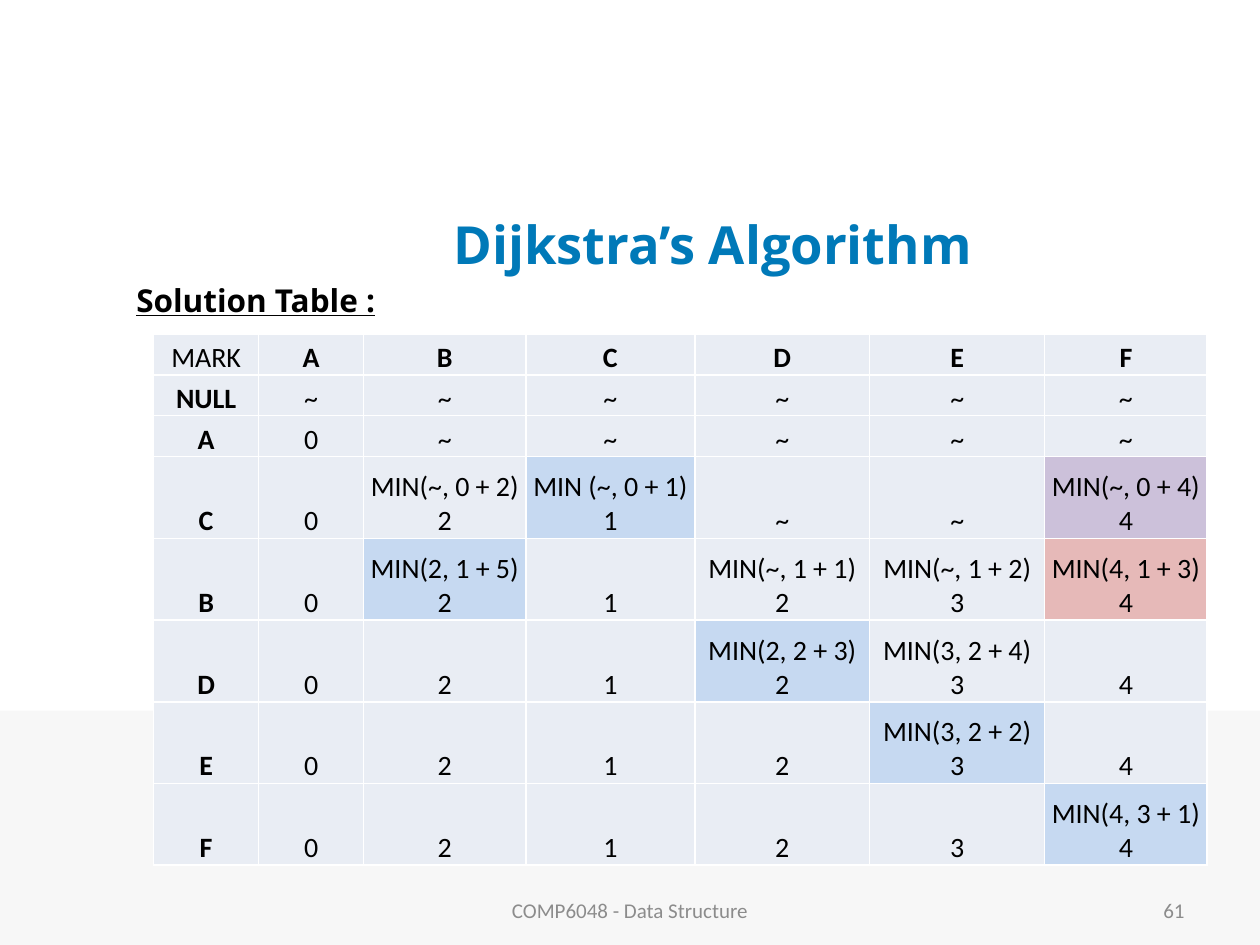
import pptx
import pptx.dml.color
import pptx.enum.shapes
import pptx.enum.text
import pptx.oxml.ns
import pptx.util
from lxml import etree

Pt = pptx.util.Pt
RGBColor = pptx.dml.color.RGBColor
ALIGN = pptx.enum.text.PP_ALIGN
ANCHOR = pptx.enum.text.MSO_ANCHOR
qn = pptx.oxml.ns.qn

BLACK = RGBColor(0x00, 0x00, 0x00)
WHITE = RGBColor(0xFF, 0xFF, 0xFF)
TITLE_BLUE = RGBColor(0x00, 0x79, 0xB8)
FOOTER_GREY = RGBColor(0x8C, 0x8C, 0x8C)
BAND_GREY = RGBColor(0xF7, 0xF7, 0xF7)
CELL_GREY = RGBColor(0xE9, 0xED, 0xF4)
CHOSEN_BLUE = RGBColor(0xC6, 0xD9, 0xF1)
PURPLE = RGBColor(0xCC, 0xC1, 0xDA)
RED = RGBColor(0xE6, 0xB9, 0xB8)

COLUMN_WIDTHS = [60, 60, 92.8, 96.5, 100, 100, 92.8]
ROW_HEIGHTS = [23.4] * 3 + [46.7] * 5
SOLUTION = [
    ["MARK", "A", "B", "C", "D", "E", "F"],
    ["NULL"] + ["~"] * 6,
    ["A", "0"] + ["~"] * 5,
    ["C", "0", "MIN(~, 0 + 2)\n2", "MIN (~, 0 + 1)\n1", "~", "~", "MIN(~, 0 + 4)\n4"],
    ["B", "0", "MIN(2, 1 + 5)\n2", "1", "MIN(~, 1 + 1)\n2", "MIN(~, 1 + 2)\n3", "MIN(4, 1 + 3)\n4"],
    ["D", "0", "2", "1", "MIN(2, 2 + 3)\n2", "MIN(3, 2 + 4)\n3", "4"],
    ["E", "0", "2", "1", "2", "MIN(3, 2 + 2)\n3", "4"],
    ["F", "0", "2", "1", "2", "3", "MIN(4, 3 + 1)\n4"],
]
# Fills by (row, column); every other cell is grey
HIGHLIGHTS = {
    (3, 3): CHOSEN_BLUE, (4, 2): CHOSEN_BLUE, (5, 4): CHOSEN_BLUE,
    (6, 5): CHOSEN_BLUE, (7, 6): CHOSEN_BLUE,
    (3, 6): PURPLE, (4, 6): RED,
}


def write_text(frame, text, font="Calibri", size=16, color=BLACK, bold=False,
               underline=False, align=ALIGN.CENTER):
    paragraph = frame.paragraphs[0]
    paragraph.text = text
    paragraph.alignment = align
    for run in paragraph.runs:
        run.font.name = font
        run.font.size = Pt(size)
        run.font.bold = bold
        run.font.underline = underline
        run.font.color.rgb = color
    # Line breaks take the size of the text around them
    for line_break in paragraph._p.findall(qn("a:br")):
        etree.SubElement(line_break, qn("a:rPr")).set("sz", str(size * 100))


def set_borders(cell, color, width):
    properties = cell._tc.get_or_add_tcPr()
    for index, side in enumerate(("a:lnL", "a:lnR", "a:lnT", "a:lnB")):
        line = etree.Element(qn(side), w=str(Pt(width)))
        fill = etree.SubElement(line, qn("a:solidFill"))
        etree.SubElement(fill, qn("a:srgbClr"), val=str(color))
        properties.insert(index, line)


class SlideBuilder:
    def __init__(self, presentation):
        self.slide = presentation.slides.add_slide(presentation.slide_layouts[6])
        self.heading_font = "Open Sans"

    def rectangle(self, left, top, width, height, color):
        shape = self.slide.shapes.add_shape(
            pptx.enum.shapes.MSO_SHAPE.RECTANGLE, Pt(left), Pt(top), Pt(width), Pt(height))
        shape.shadow.inherit = False
        shape.fill.solid()
        shape.fill.fore_color.rgb = color
        shape.line.fill.background()

    def text(self, left, top, width, height, text, anchor=ANCHOR.MIDDLE, **text_format):
        box = self.slide.shapes.add_textbox(Pt(left), Pt(top), Pt(width), Pt(height))
        box.text_frame.word_wrap = True
        box.text_frame.vertical_anchor = anchor
        write_text(box.text_frame, text, **text_format)

    def heading(self, left, top, width, height, text, **text_format):
        self.text(left, top, width, height, text, font=self.heading_font,
                  bold=True, **text_format)

    def footer(self, left, width, text, align):
        self.text(left, 505.5, width, 28.8, text, size=12, color=FOOTER_GREY, align=align)

    def table(self, left, top, values, widths, heights, highlights):
        table = self.slide.shapes.add_table(
            len(heights), len(widths), Pt(left), Pt(top),
            Pt(sum(widths)), Pt(sum(heights))).table
        table.first_row = False
        table.horz_banding = False
        for column, width in zip(table.columns, widths):
            column.width = Pt(width)
        for row, height in zip(table.rows, heights):
            row.height = Pt(height)
        for row, row_values in enumerate(values):
            for column, value in enumerate(row_values):
                cell = table.cell(row, column)
                cell.margin_left = cell.margin_right = 0
                cell.margin_top = cell.margin_bottom = 0
                cell.vertical_anchor = ANCHOR.BOTTOM
                cell.fill.solid()
                cell.fill.fore_color.rgb = highlights.get((row, column), CELL_GREY)
                set_borders(cell, WHITE, 1)
                # Row and column labels are bold, except the corner
                write_text(cell.text_frame, value, bold=(row == 0) != (column == 0))


def main():
    presentation = pptx.Presentation()
    presentation.slide_width = Pt(720)
    presentation.slide_height = Pt(540)
    builder = SlideBuilder(presentation)

    # Background band
    builder.rectangle(0, 406, 720, 134, BAND_GREY)

    # Headings
    builder.heading(138, 108, 538.5, 62.5, "Dijkstra’s Algorithm",
                    size=30, color=TITLE_BLUE)
    builder.heading(70.8, 157, 617.5, 337.5, "Solution Table :", anchor=ANCHOR.TOP,
                    size=18, underline=True, align=ALIGN.LEFT)

    # Footer
    builder.footer(246, 228, "COMP6048 - Data Structure", ALIGN.CENTER)
    builder.footer(516, 168, "61", ALIGN.RIGHT)

    # Solution table
    builder.table(87.8, 190.8, SOLUTION, COLUMN_WIDTHS, ROW_HEIGHTS, HIGHLIGHTS)

    presentation.save("out.pptx")


if __name__ == "__main__":
    main()
